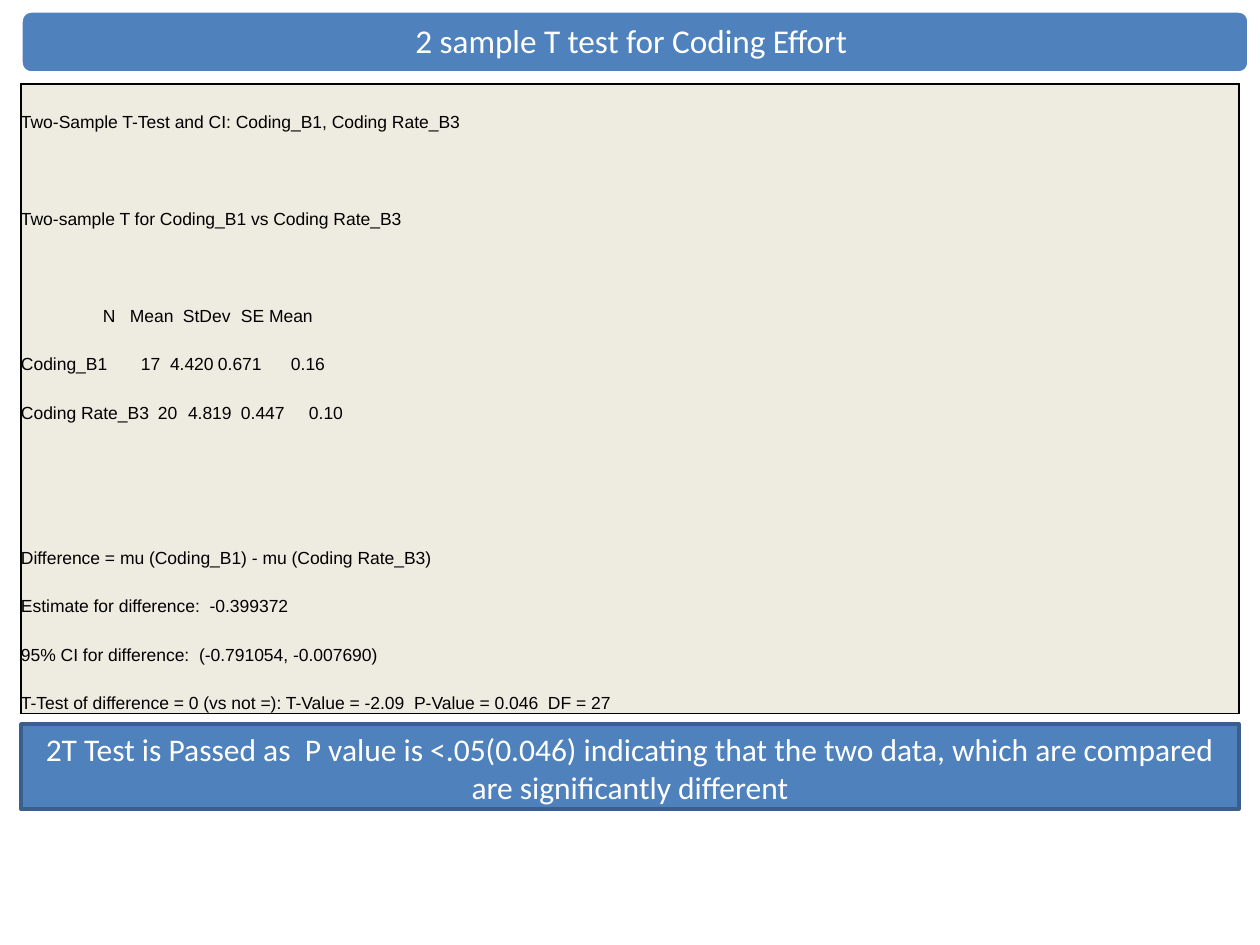
"""Build the slide with the two-sample T test for coding effort."""
from lxml import etree
from pptx import Presentation, util as u
from pptx.dml.color import RGBColor
from pptx.enum import shapes, text
from pptx.oxml.ns import qn

PX = 914400 / 126
HUE = {"blue": "4F81BD", "edge": "3A5F8C", "sand": "EEECE1", "white": "FFFFFF", "black": "000000"}
ROWS, COLS = 13, 8
LINES = {
    0: (6, "Two-Sample T-Test and CI: Coding_B1, Coding Rate_B3", []),
    2: (5, "Two-sample T for Coding_B1 vs Coding Rate_B3", []),
    4: (4, "\tN\tMean\tStDev\tSE Mean", [82, 109, 162, 220]),
    5: (4, "Coding_B1\t17\t4.420\t0.671\t0.16", [120, 149, 197, 270]),
    6: (4, "Coding Rate_B3\t20\t4.819\t0.447\t0.10", [137, 167, 220, 288]),
    9: (5, "Difference = mu (Coding_B1) - mu (Coding Rate_B3)", []),
    10: (4, "Estimate for difference:  -0.399372", []),
    11: (5, "95% CI for difference:  (-0.791054, -0.007690)", []),
    12: (8, "T-Test of difference = 0 (vs not =): T-Value = -2.09  P-Value = 0.046  DF = 27", []),
}


def box(*vals):
    return [u.Emu(round(v * PX)) for v in vals]


def style(para, face, size, hue):
    for key, val in {"name": face, "size": u.Pt(size), "bold": False}.items():
        setattr(para.font, key, val)
    para.font.color.rgb = RGBColor.from_string(HUE[hue])


deck = Presentation()
deck.slide_width, deck.slide_height = box(1260, 945)
slide = deck.slides.add_slide(deck.slide_layouts[5])
items = slide.shapes

bars = []
for kind, area, edge in [
    (shapes.MSO_SHAPE.ROUNDED_RECTANGLE, (21, 11, 1228, 62), "white"),
    (shapes.MSO_SHAPE.RECTANGLE, (21, 724, 1218, 85), "edge"),
]:
    bar = items.add_shape(kind, *box(*area))
    bar.shadow.inherit = False
    bar.fill.solid()
    bar.fill.fore_color.rgb = RGBColor.from_string(HUE["blue"])
    bar.line.color.rgb = RGBColor.from_string(HUE[edge])
    bar.line.width = u.Pt(2)
    bars.append(bar)
banner, note = bars
items._spTree.insert(2, banner._element)

title = items.title
title.left, title.top, title.width, title.height = box(24, 14, 1222, 57)
for item, words, size, anchor in [
    (title, "2 sample T test for Coding Effort ", 19, text.MSO_ANCHOR.MIDDLE),
    (note, "2T Test is Passed as  P value is <.05(0.046) indicating that the two data, "
           "which are compared are significantly different", 18, text.MSO_ANCHOR.TOP),
]:
    frame = item.text_frame
    frame.text = words
    for key, val in {"word_wrap": True, "auto_size": text.MSO_AUTO_SIZE.NONE,
                     "vertical_anchor": anchor}.items():
        setattr(frame, key, val)
    para = frame.paragraphs[0]
    para.alignment = text.PP_ALIGN.CENTER
    style(para, "Calibri", size, "white")
title.text_frame.paragraphs[0].line_spacing = 0.9

table = items.add_table(ROWS, COLS, *box(21, 84, 1218, 630)).table
table.first_row = table.horz_banding = False
table._tbl.tblPr.find(qn("a:tableStyleId")).text = "{2D5ABB26-0587-4C30-8999-92F81FD0307C}"
for col in table.columns:
    col.width = u.Emu(round(1218 * PX / COLS))
for row in table.rows:
    row.height = u.Emu(round(630 * PX / ROWS))
for r, (span, words, stops) in LINES.items():
    cell = table.cell(r, 0)
    cell.merge(table.cell(r, span - 1))
    cell.text = words
    para = cell.text_frame.paragraphs[0]
    if stops:
        tabs = etree.SubElement(para._p.get_or_add_pPr(), qn("a:tabLst"))
        for stop in stops:
            etree.SubElement(tabs, qn("a:tab"), pos=str(round(stop * PX)), algn="l")
    style(para, "Arial", 10, "black")

for r in range(ROWS):
    for c in range(COLS):
        cell = table.cell(r, c)
        for side in ("left", "right", "top", "bottom"):
            setattr(cell, "margin_" + side, 0)
        cell.vertical_anchor = text.MSO_ANCHOR.BOTTOM
        wide = cell.span_width if cell.is_merge_origin else 1
        edges = {"L": c == 0, "R": c + wide == COLS, "T": r == 0, "B": r == ROWS - 1}
        for side, drawn in edges.items():
            if drawn:
                line = etree.SubElement(cell._tc.get_or_add_tcPr(), qn("a:ln" + side), w="12700")
                fill = etree.SubElement(line, qn("a:solidFill"))
                etree.SubElement(fill, qn("a:srgbClr"), val=HUE["black"])
        cell.fill.solid()
        cell.fill.fore_color.rgb = RGBColor.from_string(HUE["sand"])

deck.save("out.pptx")
